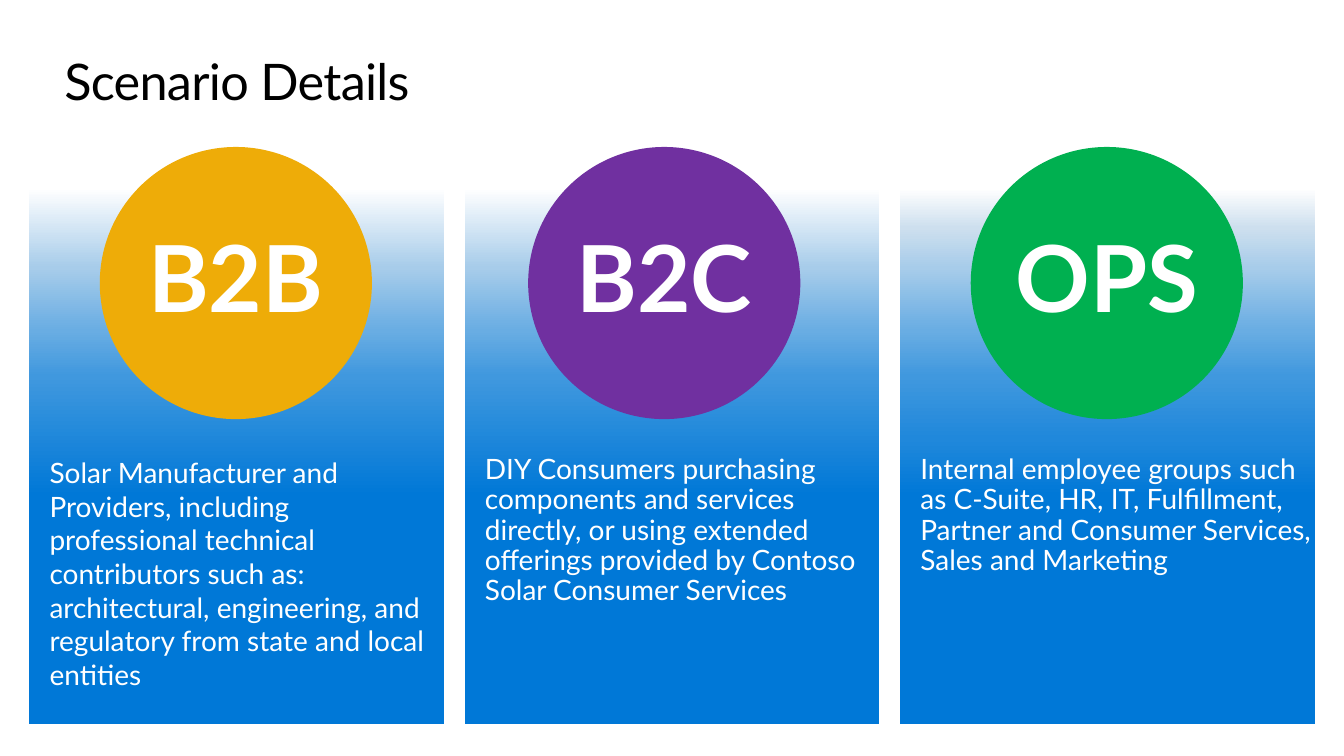
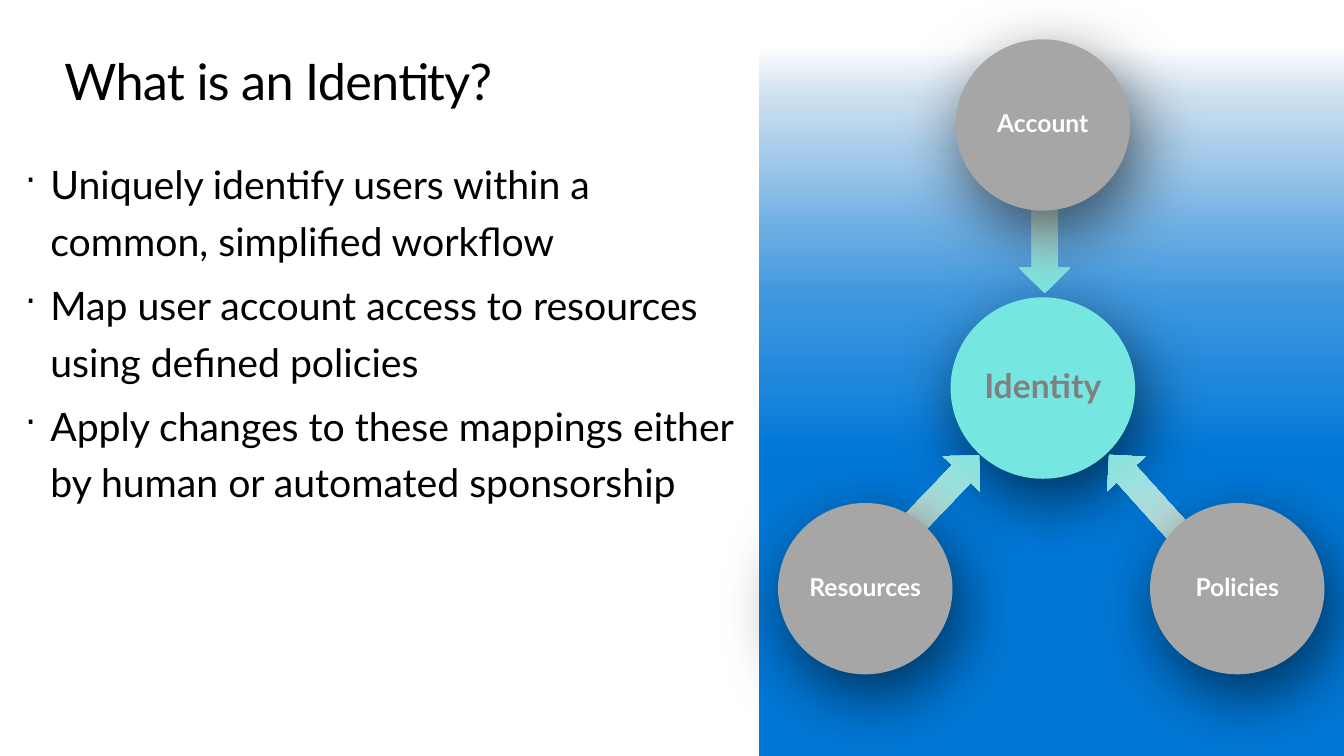
from dataclasses import dataclass

from lxml.etree import SubElement
from pptx import Presentation
from pptx.dml.color import RGBColor
from pptx.enum.shapes import MSO_SHAPE
from pptx.enum.text import MSO_ANCHOR, PP_ALIGN
from pptx.oxml.ns import qn
from pptx.shapes.autoshape import Shape
from pptx.slide import Slide
from pptx.util import Pt

FONT = "Lato"
BLACK = RGBColor(0x00, 0x00, 0x00)
WHITE = RGBColor(0xFF, 0xFF, 0xFF)
AMBER = RGBColor(0xEE, 0xAC, 0x08)
PURPLE = RGBColor(0x70, 0x30, 0xA0)
GREEN = RGBColor(0x00, 0xB0, 0x50)
TEAL = RGBColor(0x76, 0xE6, 0xE1)
GREY = RGBColor(0xA6, 0xA6, 0xA6)
DARK = RGBColor(0x80, 0x80, 0x80)
PALE = RGBColor(0xD9, 0xD9, 0xD9)

Stops = dict[int, RGBColor]
Box = tuple[float, float, float, float]

FADE: Stops = {
    6: WHITE,
    20: RGBColor(0xA7, 0xCC, 0xEA),
    31: RGBColor(0x69, 0xAD, 0xE3),
    39: RGBColor(0x40, 0x98, 0xDE),
    60: RGBColor(0x00, 0x78, 0xD7),
}
RICH: Stops = dict(sorted({
    **FADE,
    13: RGBColor(0xCD, 0xDF, 0xEE),
    50: RGBColor(0x20, 0x88, 0xDB),
}.items()))
SHAFT: Stops = {0: TEAL, 81: PALE}


@dataclass(frozen=True)
class Column:
    label: str
    text: str
    color: RGBColor
    left: float
    stops: Stops
    pitch: float


@dataclass(frozen=True)
class Node:
    label: str
    box: Box
    fill: RGBColor
    ink: RGBColor
    size: float


@dataclass(frozen=True)
class Arrow:
    box: Box
    turn: float


COLUMNS = [
    Column("B2B", "Solar Manufacturer and Providers, including professional "
           "technical contributors such as: architectural, engineering, and "
           "regulatory from state and local entities",
           AMBER, 71.3, FADE, 1.0),
    Column("B2C", "DIY Consumers purchasing components and services directly, "
           "or using extended offerings provided by Contoso Solar Consumer "
           "Services", PURPLE, 377.3, FADE, 0.9),
    Column("OPS", "Internal employee groups such as C-Suite, HR, IT, "
           "Fulfillment, Partner and Consumer Services, Sales and Marketing",
           GREEN, 693.4, RICH, 0.9),
]
POINTS = [
    "Uniquely identify users within a common, simplified workflow",
    "Map user account access to resources using defined policies",
    "Apply changes to these mappings either by human or automated sponsorship",
]
ARROWS = [
    Arrow((727.9, 111.6, 36.7, 97.9), 180),
    Arrow((810, 311, 36.7, 108), 318),
    Arrow((643.7, 310.3, 36.7, 108), 43.7),
]
NODES = [Node("Identity", (679, 212.4, 131.8, 129.6), TEAL, DARK, 24)] + [
    Node(label, (left, top, 124.6, 122.4), GREY, WHITE, 17.6)
    for label, left, top in [
        ("Account", 682.6, 28.1),
        ("Policies", 821.5, 359.3),
        ("Resources", 555.8, 359.3),
    ]
]


def add_text(slide: Slide, box: Box, lines: list[str], size: float,
             color: RGBColor, pitch: float = 1.0, inset: float = 0,
             bullet: bool = False) -> Shape:
    shape = slide.shapes.add_textbox(*map(Pt, box))
    frame = shape.text_frame
    frame.word_wrap = True
    frame.margin_left = Pt(inset)
    frame.margin_top = frame.margin_right = frame.margin_bottom = 0
    frame.text = "\n".join(lines)
    for rank, para in enumerate(frame.paragraphs):
        para.line_spacing = pitch
        if rank:
            para.space_before = Pt(size * 0.2)
        if bullet:
            props = para._p.get_or_add_pPr()
            props.set("marL", str(Pt(36)))
            props.set("indent", str(-Pt(18)))
            SubElement(props, qn("a:buSzPct"), val="90000")
            SubElement(props, qn("a:buChar"), char="·")
        para.font.name = FONT
        para.font.size = Pt(size)
        para.font.color.rgb = color
    return shape


def add_title(slide: Slide, text: str) -> None:
    shape = add_text(slide, (46, 36, 496, 44), [text], 36, BLACK)
    run = shape.text_frame.paragraphs[0].runs[0]
    run._r.get_or_add_rPr().set("spc", "-50")


def add_plain(slide: Slide, kind: MSO_SHAPE, box: Box) -> Shape:
    shape = slide.shapes.add_shape(kind, *map(Pt, box))
    shape.shadow.inherit = False
    shape.line.fill.background()
    return shape


def add_blend(slide: Slide, kind: MSO_SHAPE, box: Box, stops: Stops) -> Shape:
    shape = add_plain(slide, kind, box)
    shape.fill.gradient()
    shape.fill.gradient_angle = 270
    group = shape._element.spPr.find(qn("a:gradFill")).find(qn("a:gsLst"))
    group.clear()
    for place, color in stops.items():
        stop = SubElement(group, qn("a:gs"), pos=str(place * 1000))
        SubElement(stop, qn("a:srgbClr"), val=str(color))
    return shape


def add_disc(slide: Slide, node: Node) -> Shape:
    shape = add_plain(slide, MSO_SHAPE.OVAL, node.box)
    shape.fill.solid()
    shape.fill.fore_color.rgb = node.fill
    frame = shape.text_frame
    frame.word_wrap = True
    frame.vertical_anchor = MSO_ANCHOR.MIDDLE
    frame.margin_left = frame.margin_right = 0
    frame.margin_top = frame.margin_bottom = Pt(14.4)
    frame.text = node.label
    para = frame.paragraphs[0]
    para.alignment = PP_ALIGN.CENTER
    para.line_spacing = 0.9
    para.font.name = FONT
    para.font.size = Pt(node.size)
    para.font.bold = True
    para.font.color.rgb = node.ink
    return shape


def cast(shape: Shape) -> None:
    effects = shape._element.spPr.find(qn("a:effectLst"))
    shadow = SubElement(effects, qn("a:outerShdw"), blurRad=str(Pt(50)),
                        dist=str(Pt(16)), dir=str(70 * 60000),
                        algn="ctr", rotWithShape="0")
    color = SubElement(shadow, qn("a:srgbClr"), val=str(BLACK))
    SubElement(color, qn("a:alpha"), val="60000")


def draw_cases(slide: Slide) -> None:
    add_title(slide, "Scenario Details")
    for rank, col in enumerate(COLUMNS):
        left = 21 + rank * 311
        add_blend(slide, MSO_SHAPE.RECTANGLE, (left, 110, 296, 407), col.stops)
        add_text(slide, (left, 325.4, 296, 191.6), [col.text], 20, WHITE,
                 col.pitch, 14.4)
        add_disc(slide, Node(col.label, (col.left, 105, 194.4, 194.4),
                             col.color, WHITE, 66))


def draw_model(slide: Slide) -> None:
    add_title(slide, "What is an Identity?")
    add_text(slide, (0, 108, 533.5, 299), POINTS, 28, BLACK, 1.2, bullet=True)
    add_blend(slide, MSO_SHAPE.RECTANGLE, (542, 0, 418, 540), RICH)
    hub, *outer = NODES
    cast(add_disc(slide, hub))
    for arrow, node in zip(ARROWS, outer):
        shape = add_blend(slide, MSO_SHAPE.UP_ARROW, arrow.box, SHAFT)
        shape.rotation = arrow.turn
        cast(add_disc(slide, node))


def main() -> None:
    deck = Presentation()
    deck.slide_width, deck.slide_height = Pt(960), Pt(540)
    for draw in (draw_cases, draw_model):
        draw(deck.slides.add_slide(deck.slide_layouts[6]))
    deck.save("out.pptx")


if __name__ == "__main__":
    main()
